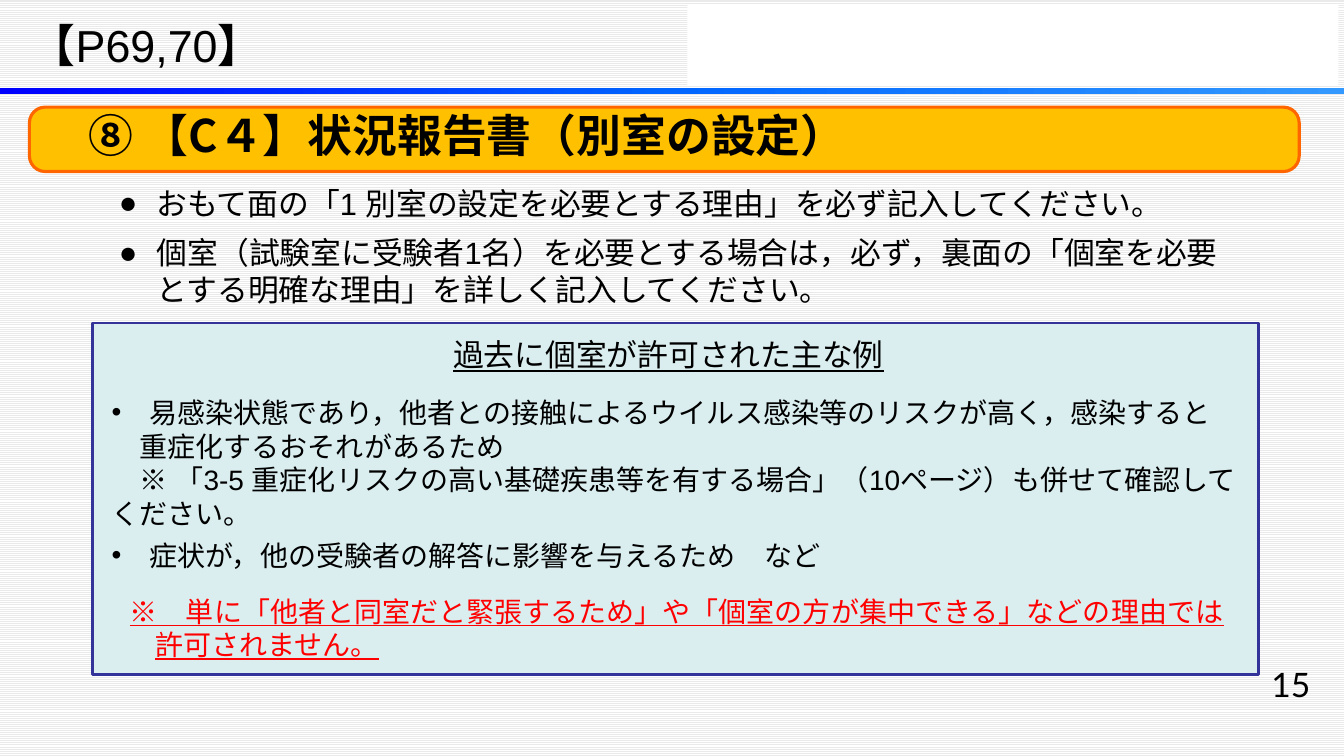
import copy
from dataclasses import dataclass

import lxml.etree
import pptx
import pptx.dml.color
import pptx.enum.dml
import pptx.enum.shapes
import pptx.enum.text
import pptx.oxml.ns
import pptx.util

Pt = pptx.util.Pt
Shape = pptx.enum.shapes.MSO_SHAPE
Align = pptx.enum.text.PP_ALIGN
Anchor = pptx.enum.text.MSO_ANCHOR
qn = pptx.oxml.ns.qn


@dataclass(frozen=True)
class Theme:
    latin: str = "Arial"
    japanese: str = "Noto Sans CJK JP"
    number_font: str = "Lato"
    black: str = "000000"
    white: str = "FFFFFF"
    stripe: str = "EAEAEA"
    red: str = "FF0000"
    amber: str = "FFC000"
    orange: str = "FF6600"
    navy: str = "333399"
    pale: str = "DAEDEF"
    rule: tuple[str, ...] = ("0000FF", "0066FF", "3399FF")
    title: float = 32
    number: float = 24
    lead: float = 22
    body: float = 20


THEME = Theme()


@dataclass(frozen=True)
class Box:
    left: float
    top: float
    width: float
    height: float

    def lengths(self) -> tuple:
        return Pt(self.left), Pt(self.top), Pt(self.width), Pt(self.height)


@dataclass(frozen=True)
class Para:
    text: str
    size: float
    font: str = THEME.latin
    color: str = THEME.black
    align: Align = Align.LEFT
    bold: bool = False
    underline: bool = False
    before: float = 0
    after: float = 0
    margin: float = 0
    indent: float = 0
    bullet: str = ""


def rgb(code: str) -> pptx.dml.color.RGBColor:
    return pptx.dml.color.RGBColor.from_string(code)


def write(frame, paras: list[Para], anchor: Anchor = Anchor.TOP) -> None:
    frame.word_wrap = True
    frame.vertical_anchor = anchor
    for index, para in enumerate(paras):
        line = frame.paragraphs[0] if index == 0 else frame.add_paragraph()
        line.text = para.text
        line.alignment = para.align
        line.space_before, line.space_after = Pt(para.before), Pt(para.after)
        properties = line._p.get_or_add_pPr()
        properties.set("marL", str(Pt(para.margin)))
        properties.set("indent", str(Pt(para.indent)))
        if para.bullet:
            bullet_font = lxml.etree.SubElement(properties, qn("a:buFont"))
            bullet_font.set("typeface", THEME.latin)
            lxml.etree.SubElement(properties, qn("a:buChar")).set("char", para.bullet)
        font = line.font
        font.name, font.size = para.font, Pt(para.size)
        font.bold, font.underline = para.bold, para.underline
        font.color.rgb = rgb(para.color)
        east_asian = lxml.etree.SubElement(font._element, qn("a:ea"))
        east_asian.set("typeface", para.font)


def add_text(slide, box: Box, paras: list[Para]):
    text = slide.shapes.add_textbox(*box.lengths())
    write(text.text_frame, paras)
    return text


def add_panel(slide, kind: Shape, box: Box, fill: str, line: str = "", weight: float = 0):
    panel = slide.shapes.add_shape(kind, *box.lengths())
    panel.shadow.inherit = False
    panel.fill.solid()
    panel.fill.fore_color.rgb = rgb(fill)
    if line:
        panel.line.color.rgb = rgb(line)
        panel.line.width = Pt(weight)
    else:
        panel.line.fill.background()
    return panel


def add_header(slide) -> None:
    # Plain corner band
    add_panel(slide, Shape.RECTANGLE, Box(491, 3.6, 465, 57), THEME.white)

    # Gradient rule
    rule = add_panel(slide, Shape.RECTANGLE, Box(0, 63.2, 960, 4.3), THEME.rule[0])
    rule.fill.gradient()
    rule.fill.gradient_angle = 0
    stops = rule._element.spPr.find(qn("a:gradFill")).find(qn("a:gsLst"))
    stops.insert(1, copy.deepcopy(stops[0]))
    for index, (stop, color) in enumerate(zip(rule.fill.gradient_stops, THEME.rule)):
        stop.color.rgb = rgb(color)
        stop.position = index / 2

    # Page reference, with bold brackets
    pages = add_text(slide, Box(15, 9.4, 199, 46), [Para("", THEME.title)])
    for part, bold in (("【", True), ("P69,70", False), ("】", True)):
        run = pages.text_frame.paragraphs[0].add_run()
        run.text, run.font.bold = part, bold


def add_content(slide) -> None:
    # Section title
    banner = add_panel(slide, Shape.ROUNDED_RECTANGLE, Box(21, 76.5, 907, 46),
                       THEME.amber, THEME.orange, 2.25)
    banner.adjustments[0] = 0.245
    write(banner.text_frame, [Para("⑧ 【C４】状況報告書（別室の設定）", THEME.title,
                                   THEME.japanese, bold=True, margin=32)], Anchor.BOTTOM)

    # Instructions
    add_text(slide, Box(77.8, 128.3, 799, 113), [
        Para(text, THEME.lead, align=Align.JUSTIFY, before=before, after=6,
             margin=27, indent=-27, bullet="●")
        for text, before in (
            ("おもて面の「1 別室の設定を必要とする理由」を必ず記入してください。", 0),
            ("個室（試験室に受験者1名）を必要とする場合は，必ず，裏面の「個室を必要とする明確な理由」"
             "を詳しく記入してください。", 3))
    ])

    # Examples
    add_panel(slide, Shape.RECTANGLE, Box(66.2, 230.7, 833, 251), THEME.pale, THEME.navy, 2)
    add_text(slide, Box(160, 236, 635, 34), [
        Para("過去に個室が許可された主な例", THEME.lead, THEME.japanese,
             align=Align.CENTER, underline=True)])
    add_text(slide, Box(72.7, 278.9, 822, 201), [
        Para("易感染状態であり，他者との接触によるウイルス感染等のリスクが高く，感染すると",
             THEME.body, margin=27, indent=-27, bullet="•"),
        Para("重症化するおそれがあるため", THEME.body, margin=20),
        Para("※ 「3-5 重症化リスクの高い基礎疾患等を有する場合」（10ページ）も併せて確認してください。",
             THEME.body, indent=20),
        Para("症状が，他の受験者の解答に影響を与えるため　など", THEME.body,
             before=6, margin=27, indent=-27, bullet="•"),
        Para("※　単に「他者と同室だと緊張するため」や「個室の方が集中できる」などの理由では",
             THEME.body, color=THEME.red, underline=True, before=16, margin=13),
        Para("許可されません。", THEME.body, color=THEME.red, underline=True, margin=31),
    ])

    # Slide number
    add_text(slide, Box(735, 471, 208, 37), [
        Para("15", THEME.number, THEME.number_font, align=Align.RIGHT)])


def main() -> None:
    deck = pptx.Presentation()
    deck.slide_width, deck.slide_height = Pt(960), Pt(540)
    slide = deck.slides.add_slide(deck.slide_layouts[6])
    backdrop = slide.background.fill
    backdrop.patterned()
    backdrop.pattern = pptx.enum.dml.MSO_PATTERN.LIGHT_HORIZONTAL
    backdrop.fore_color.rgb = rgb(THEME.white)
    backdrop.back_color.rgb = rgb(THEME.stripe)
    add_header(slide)
    add_content(slide)
    deck.save("out.pptx")


if __name__ == "__main__":
    main()
